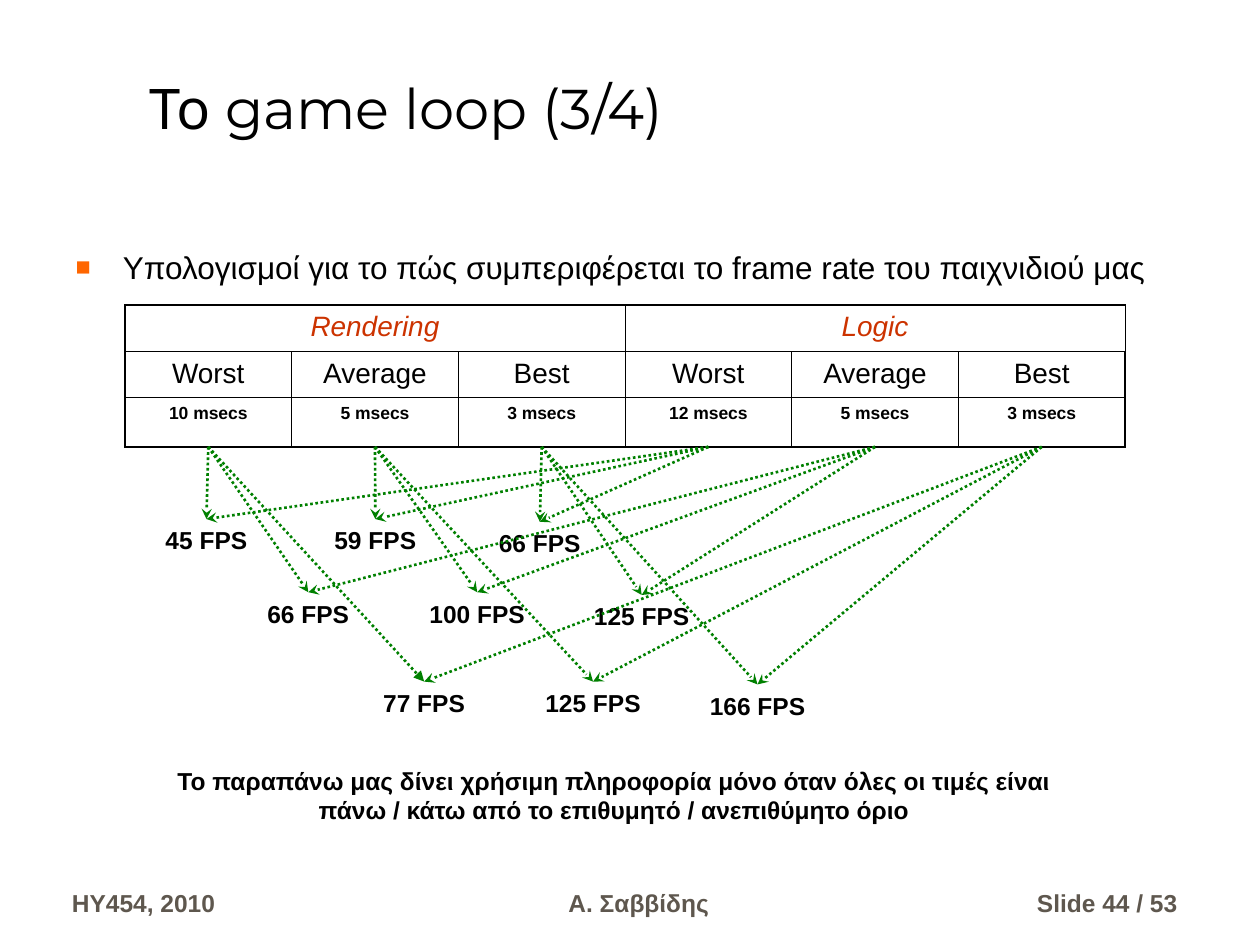
from lxml import etree
from pptx import Presentation
from pptx.dml.color import RGBColor
from pptx.enum.dml import MSO_LINE
from pptx.enum.shapes import MSO_CONNECTOR, MSO_SHAPE
from pptx.enum.text import MSO_ANCHOR, MSO_AUTO_SIZE, PP_ALIGN
from pptx.oxml.ns import qn
from pptx.util import Pt

LEFT, CENTER, RIGHT = PP_ALIGN.LEFT, PP_ALIGN.CENTER, PP_ALIGN.RIGHT
BOTTOM = MSO_ANCHOR.BOTTOM
NO_FIT, GROW = MSO_AUTO_SIZE.NONE, MSO_AUTO_SIZE.SHAPE_TO_FIT_TEXT
RECTANGLE, STRAIGHT = MSO_SHAPE.RECTANGLE, MSO_CONNECTOR.STRAIGHT
DOTTED = MSO_LINE.ROUND_DOT

BLACK, WHITE, GREEN = "000000", "FFFFFF", "008000"
RED, ORANGE, GREY = "CC3300", "FF6600", "5E574E"

TIMINGS = [
    ["Rendering", "", "", "Logic", "", ""],
    ["Worst", "Average", "Best"] * 2,
    ["10 msecs", "5 msecs", "3 msecs", "12 msecs", "5 msecs", "3 msecs"],
]
TABLE_BOX = (71.4, 174.4, 571.5, 81)
ROW_HEIGHTS = (26.5, 26.5, 28)

# One row per logic case, one column per rendering case
FRAME_RATES = [
    ["45 FPS", "59 FPS", "66 FPS"],
    ["66 FPS", "100 FPS", "125 FPS"],
    ["77 FPS", "125 FPS", "166 FPS"],
]
RATE_ROWS = [(118, 296.6), (176.2, 338.4), (242.4, 389.5)]
RATE_STEPS = [(0, 0), (96.5, 0), (190.5, 1.6)]


def color(code):
    return RGBColor.from_string(code)


def points(values):
    return [Pt(value) for value in values]


def write(frame, text, size, code=BLACK, font="Arial", align=CENTER,
          bold=False, italic=False):
    para = frame.paragraphs[0]
    para.alignment = align
    para.space_before = Pt(0)
    span = para.add_run()
    span.text = text
    span.font.name = font
    span.font.size = Pt(size)
    span.font.bold = bold
    span.font.italic = italic
    span.font.color.rgb = color(code)
    return para


def place(holder, box):
    holder.left, holder.top, holder.width, holder.height = points(box)
    holder.text_frame.auto_size = NO_FIT


def add_title(page, box):
    title = page.shapes.title
    place(title, box)
    title.text_frame.vertical_anchor = BOTTOM
    write(title.text_frame, "Το game loop (3/4)", 32, font="Montserrat", align=LEFT)


def add_body(page, box):
    body = page.placeholders[1]
    place(body, box)
    para = write(
        body.text_frame,
        "Υπολογισμοί για το πώς συμπεριφέρεται το frame rate του παιχνιδιού μας",
        18, align=LEFT)
    properties = para._p.get_or_add_pPr()
    properties.set("marL", str(Pt(27)))
    properties.set("indent", str(Pt(-27)))
    bullet_color = etree.SubElement(properties, qn("a:buClr"))
    etree.SubElement(bullet_color, qn("a:srgbClr"), val=ORANGE)
    etree.SubElement(properties, qn("a:buSzPct"), val="80000")
    etree.SubElement(properties, qn("a:buFont"), typeface="Arial")
    etree.SubElement(properties, qn("a:buChar"), char="■")


def add_borders(cell, outer_sides):
    """Draw all four sides, the ones on the table's edge thicker."""
    properties = cell._tc.get_or_add_tcPr()
    for side, is_outer in zip("LRTB", outer_sides):
        width = Pt(1.08 if is_outer else 0.45)
        line = etree.SubElement(properties, qn("a:ln" + side), w=str(width))
        fill = etree.SubElement(line, qn("a:solidFill"))
        etree.SubElement(fill, qn("a:srgbClr"), val=BLACK)


def add_timing_table(page, box):
    row_count, column_count = len(TIMINGS), len(TIMINGS[0])
    table = page.shapes.add_table(row_count, column_count, *points(box)).table
    table.first_row = table.horz_banding = False
    for column in table.columns:
        column.width = Pt(box[2] / column_count)
    for row, height in zip(table.rows, ROW_HEIGHTS):
        row.height = Pt(height)
    for start in (0, 3):
        table.cell(0, start).merge(table.cell(0, start + 2))

    styles = [
        {"size": 16, "code": RED, "italic": True},
        {"size": 16},
        {"size": 10, "bold": True},
    ]
    for r, (texts, style) in enumerate(zip(TIMINGS, styles)):
        for c, text in enumerate(texts):
            cell = table.cell(r, c)
            add_borders(cell, (c == 0, c == column_count - 1,
                               r == 0, r == row_count - 1))
            cell.fill.solid()
            cell.fill.fore_color.rgb = color(WHITE)
            if text:
                write(cell.text_frame, text, **style)


def add_label(page, box, text, wrap):
    label = page.shapes.add_shape(RECTANGLE, *points(box))
    label.shadow.inherit = False
    label.fill.solid()
    label.fill.fore_color.rgb = color(WHITE)
    label.line.fill.background()
    label.text_frame.word_wrap = wrap
    label.text_frame.auto_size = GROW
    write(label.text_frame, text, 14, bold=True)
    return label


def add_arrow(page, start, label, head):
    """Point from start to the top middle of the label."""
    arrow = page.shapes.add_connector(STRAIGHT, *points(start), *points(start))
    arrow.end_connect(label, 0)
    arrow.line.color.rgb = color(GREEN)
    arrow.line.width = Pt(1.5)
    arrow.line.dash_style = DOTTED
    etree.SubElement(arrow.line._get_or_add_ln(), qn("a:tailEnd"), type=head)
    etree.SubElement(arrow._element.spPr, qn("a:effectLst"))


def add_frame_rates(page, table_box):
    left, top, width, height = table_box
    column_width = width / 6
    starts = [(left + column_width * (c + 0.5), top + height) for c in range(6)]
    for r, (rates, (center, row_top)) in enumerate(zip(FRAME_RATES, RATE_ROWS)):
        labels = []
        for text, (across, down) in zip(rates, RATE_STEPS):
            label_width = 61 if len(text) == 6 else 69
            label_box = (center + across - label_width / 2, row_top + down,
                         label_width, 24)
            labels.append(add_label(page, label_box, text, wrap=False))
        for c, label in enumerate(labels):
            head = "triangle" if (r, c) == (2, 0) else "stealth"
            add_arrow(page, starts[c], label, head)
            add_arrow(page, starts[3 + r], label, "stealth")


def add_footer(page, box, text, align):
    footer = page.shapes.add_textbox(*points(box))
    footer.text_frame.word_wrap = True
    footer.text_frame.vertical_anchor = BOTTOM
    write(footer.text_frame, text, 14, GREY, align=align, bold=True)


def main():
    deck = Presentation()
    deck.slide_width, deck.slide_height = Pt(720), Pt(540)
    page = deck.slides.add_slide(deck.slide_layouts[1])
    add_footer(page, (34, 492, 158, 36), "HY454, 2010", LEFT)
    add_footer(page, (251, 492, 228, 36), "Α. Σαββίδης", CENTER)
    add_footer(page, (530, 492, 150, 36), "Slide 44 / 53", RIGHT)
    add_title(page, (78, 12, 642, 72))
    add_body(page, (36, 138, 654, 348))
    add_timing_table(page, TABLE_BOX)
    add_frame_rates(page, TABLE_BOX)
    add_label(
        page, (84, 434, 534, 41),
        "Το παραπάνω μας δίνει χρήσιμη πληροφορία μόνο όταν όλες οι τιμές είναι "
        "πάνω / κάτω από το επιθυμητό / ανεπιθύμητο όριο", wrap=True)
    deck.save("out.pptx")


if __name__ == "__main__":
    main()
